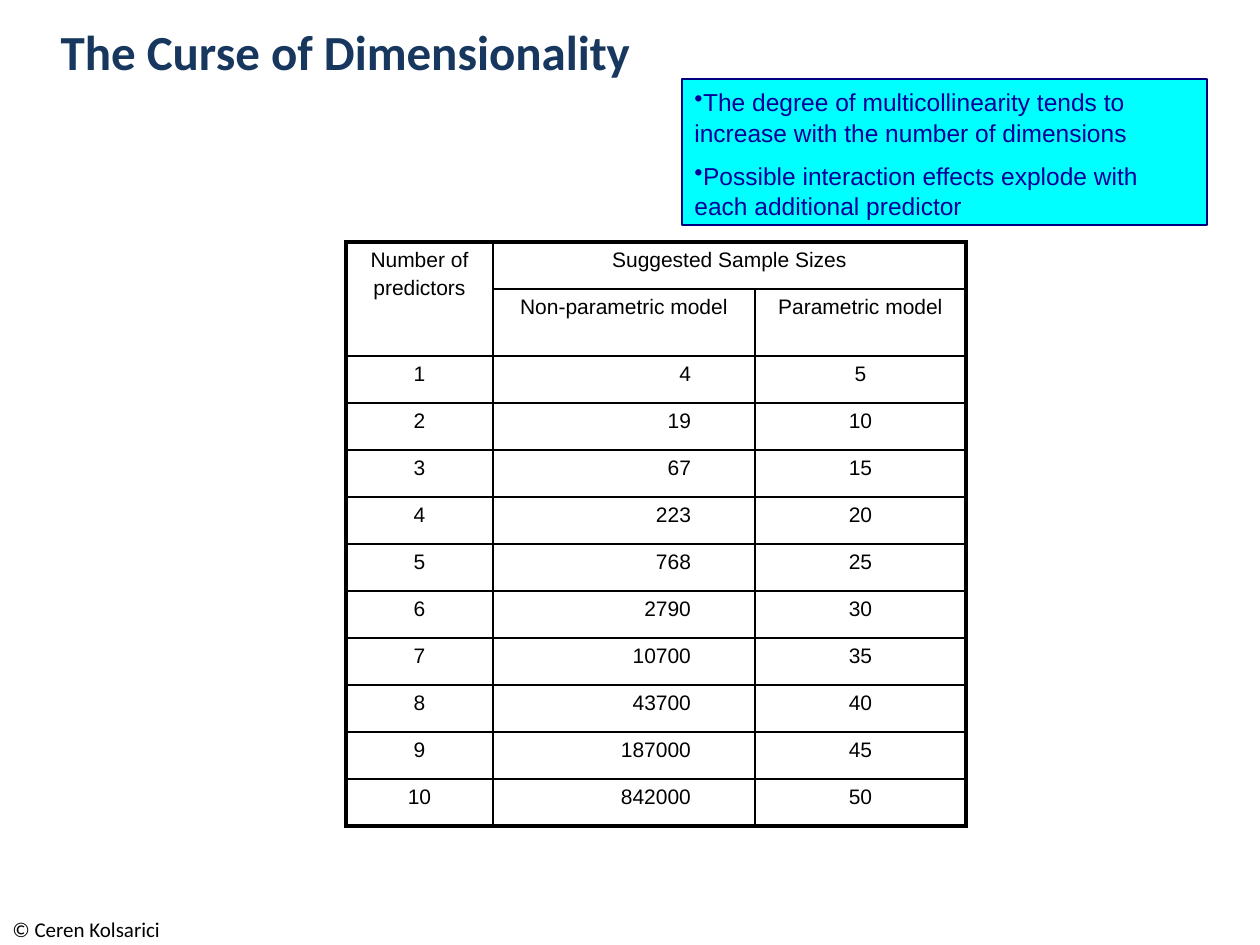
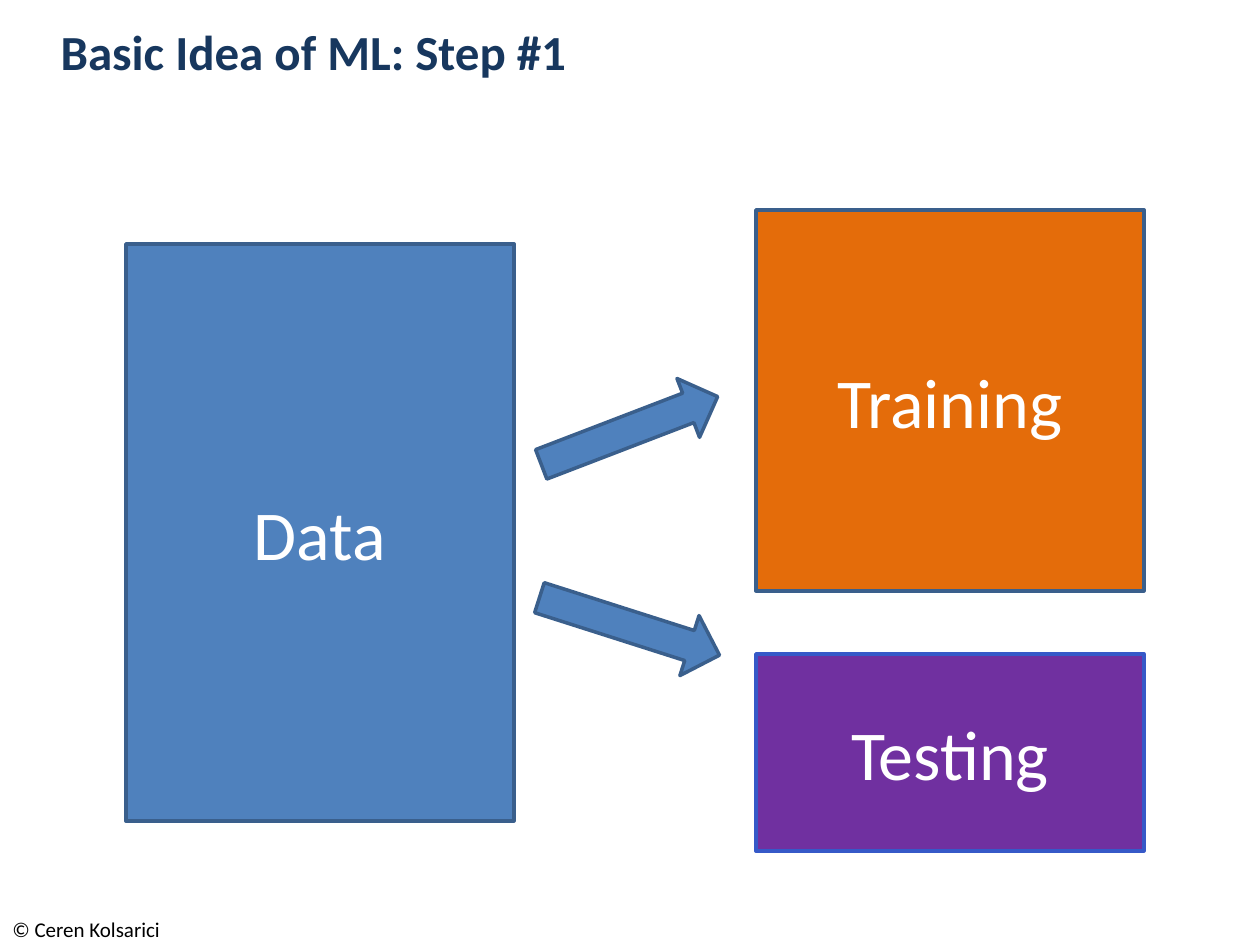
from lxml.etree import SubElement
from pptx import Presentation
from pptx.dml.color import RGBColor
from pptx.enum.shapes import MSO_SHAPE
from pptx.enum.text import MSO_ANCHOR, PP_ALIGN
from pptx.oxml import parse_xml
from pptx.oxml.ns import nsdecls, qn
from pptx.util import Emu, Pt

COLORS = {
    "white": "FFFFFF", "black": "000000", "title": "17375E",
    "callout": "00FFFF", "callout_line": "000080", "callout_text": "000099",
    "blue": "4F81BD", "blue_line": "3A5F8C",
    "orange": "E46C0A", "purple": "7030A0", "purple_line": "3659C8",
}
BODY_FONT, TABLE_FONT = "Calibri", "Arial"
PX_PER_INCH = 126

FOOTER = "© Ceren Kolsarici"
CURSE_TITLE = "The Curse of Dimensionality"
CURSE_POINTS = [
    "The degree of multicollinearity tends to increase with the number of dimensions",
    "Possible interaction effects explode with each additional predictor",
]
TABLE_HEADER = [
    ("Number of\npredictors", "Suggested Sample Sizes", ""),
    ("", "Non-parametric model", "Parametric model"),
]
NON_PARAMETRIC_SIZES = [4, 19, 67, 223, 768, 2790, 10700, 43700, 187000, 842000]
PARAMETRIC_STEP = 5
COLUMN_WIDTHS = (147, 262, 211)
ROW_HEIGHT, SUBHEADER_HEIGHT = 47, 64
NUMBER_RIGHT_INSET = 64

SPLIT_TITLE = "Basic Idea of ML: Step #1"
# label, left, top, width, height, fill, line
DATA_BOXES = [
    ("Data", 126, 244, 388, 577, "blue", "blue_line"),
    ("Testing", 756, 654, 388, 197, "purple", "purple_line"),
    ("Training", 756, 210, 388, 381, "orange", "blue_line"),
]
# top, rotation in degrees
SPLIT_ARROWS = [(399, 339), (595, 17.7)]


def px(length):
    return Emu(round(length * 914400 / PX_PER_INCH))


def box(*lengths):
    return [px(length) for length in lengths]


def rgb(name):
    return RGBColor.from_string(COLORS[name])


def style_text(text_frame, size, color, font=BODY_FONT, bold=False,
               align=PP_ALIGN.LEFT, gap=0):
    """Format all runs; gap is the space in points between paragraphs."""
    for index, paragraph in enumerate(text_frame.paragraphs):
        paragraph.alignment = align
        if index and gap:
            paragraph.space_before = Pt(gap)
        for run in paragraph.runs:
            run.font.size = Pt(size)
            run.font.name = font
            run.font.bold = bold
            run.font.color.rgb = rgb(color)


def add_titled_slide(presentation, title_text):
    slide = presentation.slides.add_slide(presentation.slide_layouts[5])
    title = slide.shapes.title
    title.left, title.top, title.width, title.height = box(48, 6, 1033, 90)
    title.text_frame.text = title_text
    title.text_frame.vertical_anchor = MSO_ANCHOR.MIDDLE
    style_text(title.text_frame, 28, "title", bold=True)

    footer = slide.shapes.add_textbox(*box(0, 910, 682, 35))
    footer.text_frame.word_wrap = True
    footer.text_frame.text = FOOTER
    style_text(footer.text_frame, 12, "black")
    return slide


def add_filled_shape(slide, kind, bounds, fill, line, line_width):
    shape = slide.shapes.add_shape(kind, *box(*bounds))
    shape.shadow.inherit = False
    shape.fill.solid()
    shape.fill.fore_color.rgb = rgb(fill)
    shape.line.color.rgb = rgb(line)
    shape.line.width = Pt(line_width)
    return shape


def set_borders(cell, outer_sides):
    """Draw the four cell borders, heavier on the table's outer sides."""
    properties = cell._tc.get_or_add_tcPr()
    for position, side in enumerate("LRTB"):
        width = Pt(2.25 if side in outer_sides else 1)
        border = parse_xml(
            f'<a:ln{side} {nsdecls("a")} w="{width}"><a:solidFill>'
            f'<a:srgbClr val="{COLORS["black"]}"/></a:solidFill></a:ln{side}>')
        properties.insert(position, border)


def add_sample_size_table(slide):
    rows = TABLE_HEADER + [
        (str(count), str(size), str(count * PARAMETRIC_STEP))
        for count, size in enumerate(NON_PARAMETRIC_SIZES, start=1)]
    heights = [ROW_HEIGHT] * len(rows)
    heights[1] = SUBHEADER_HEIGHT
    frame = slide.shapes.add_table(
        len(rows), len(COLUMN_WIDTHS),
        *box(346, 242, sum(COLUMN_WIDTHS), sum(heights)))
    table = frame.table
    table.first_row = table.horz_banding = False
    for column, width in zip(table.columns, COLUMN_WIDTHS):
        column.width = px(width)
    for row, height in zip(table.rows, heights):
        row.height = px(height)
    table.cell(0, 0).merge(table.cell(1, 0))
    table.cell(0, 1).merge(table.cell(0, 2))

    for row_index, row in enumerate(rows):
        for column_index, text in enumerate(row):
            cell = table.cell(row_index, column_index)
            cell.fill.solid()
            cell.fill.fore_color.rgb = rgb("white")
            outer = {
                "L": column_index == 0,
                "R": column_index + cell.span_width == len(row),
                "T": row_index == 0,
                "B": row_index + cell.span_height == len(rows),
            }
            set_borders(cell, [side for side in outer if outer[side]])
            if cell.is_spanned:
                continue
            align = PP_ALIGN.CENTER
            if column_index == 1 and row_index >= len(TABLE_HEADER):
                align = PP_ALIGN.RIGHT
                cell.margin_right = px(NUMBER_RIGHT_INSET)
            cell.text_frame.text = text
            style_text(cell.text_frame, 12, "black", TABLE_FONT, align=align, gap=2.4)


def add_callout(slide):
    callout = add_filled_shape(slide, MSO_SHAPE.RECTANGLE, (682, 79, 525, 146),
                               "callout", "callout_line", 0.75)
    text_frame = callout.text_frame
    text_frame.word_wrap = True
    text_frame.vertical_anchor = MSO_ANCHOR.TOP
    text_frame.text = "\n".join(CURSE_POINTS)
    style_text(text_frame, 14, "callout_text", TABLE_FONT, gap=7)
    for paragraph in text_frame.paragraphs:
        paragraph.line_spacing = 1.05
        SubElement(paragraph._p.get_or_add_pPr(), qn("a:buChar")).set("char", "•")


def build_curse_slide(presentation):
    slide = add_titled_slide(presentation, CURSE_TITLE)
    add_sample_size_table(slide)
    add_callout(slide)


def build_split_slide(presentation):
    slide = add_titled_slide(presentation, SPLIT_TITLE)
    for label, left, top, width, height, fill, line in DATA_BOXES:
        shape = add_filled_shape(slide, MSO_SHAPE.RECTANGLE,
                                 (left, top, width, height), fill, line, 2)
        shape.text_frame.text = label
        shape.text_frame.vertical_anchor = MSO_ANCHOR.MIDDLE
        style_text(shape.text_frame, 40, "white", align=PP_ALIGN.CENTER)
    for top, rotation in SPLIT_ARROWS:
        arrow = add_filled_shape(slide, MSO_SHAPE.RIGHT_ARROW,
                                 (535, top, 189, 63), "blue", "blue_line", 2)
        arrow.rotation = rotation


def main():
    presentation = Presentation()
    presentation.slide_width, presentation.slide_height = box(1260, 945)
    build_curse_slide(presentation)
    build_split_slide(presentation)
    presentation.save("out.pptx")


if __name__ == "__main__":
    main()
